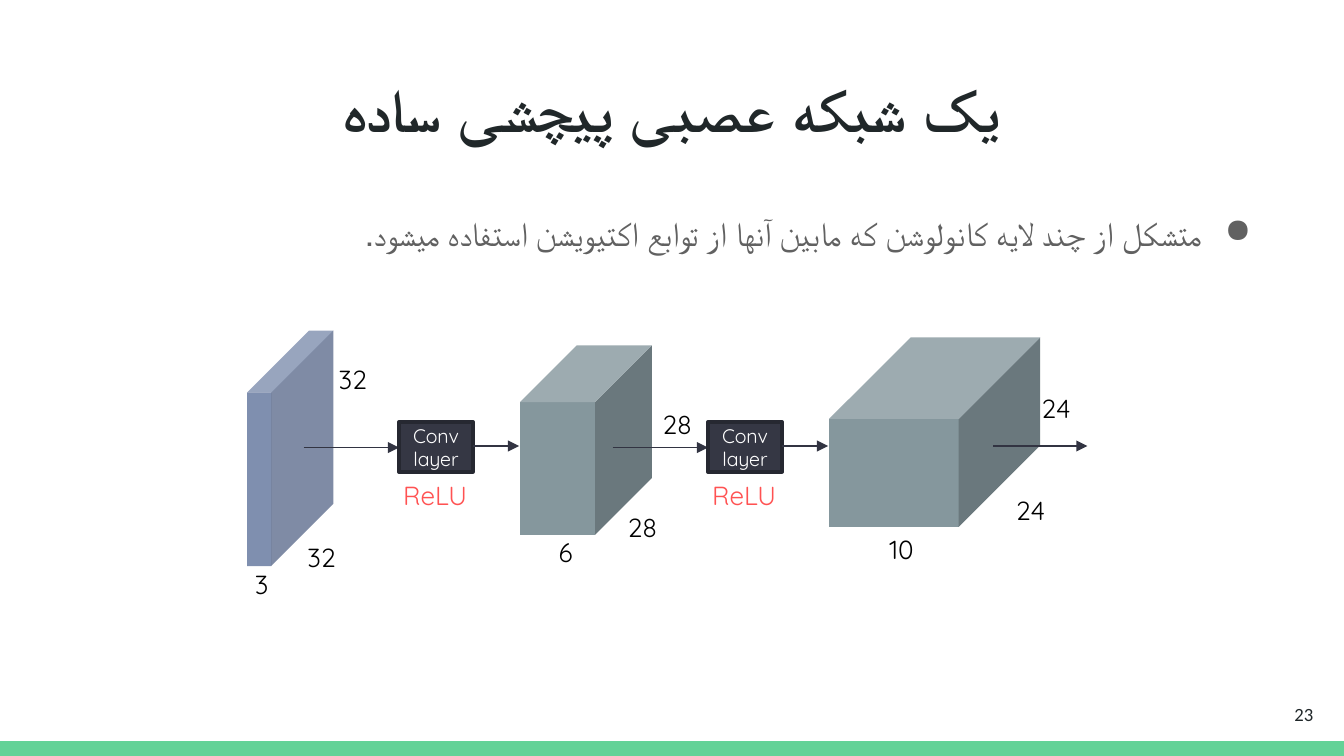
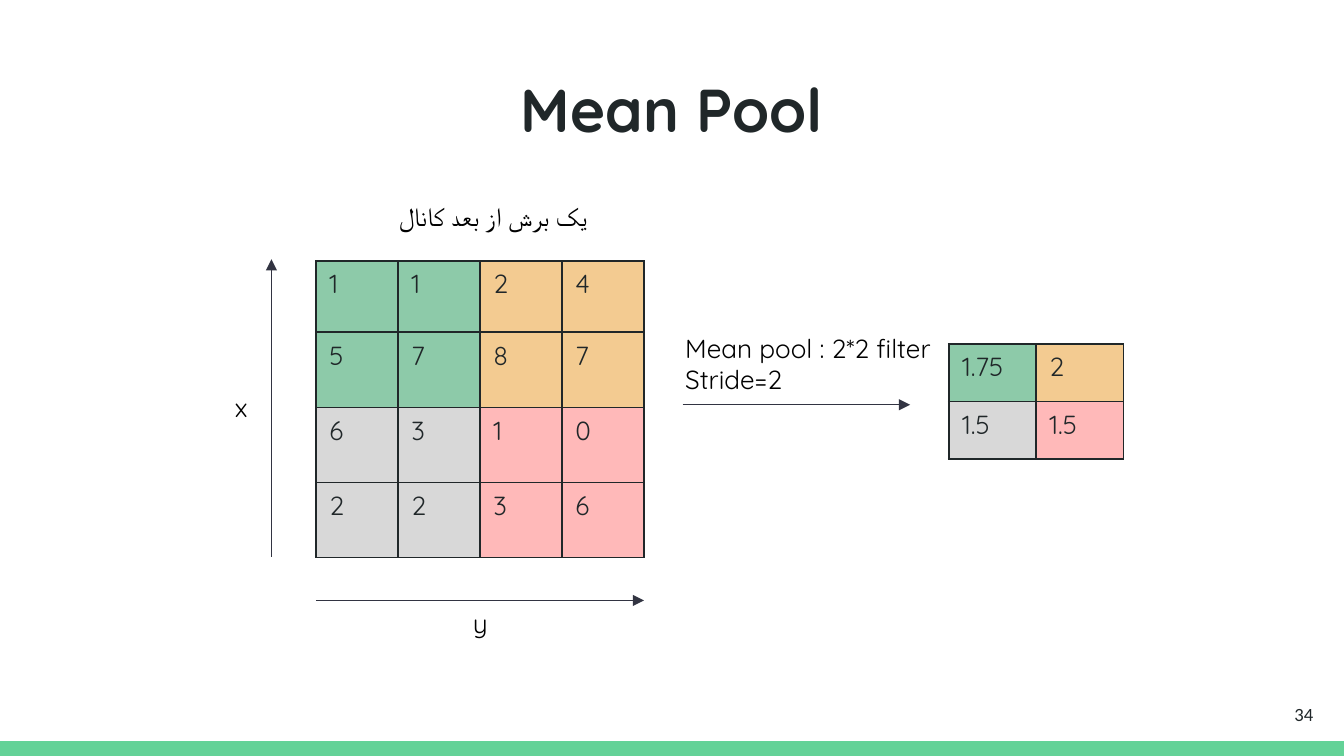
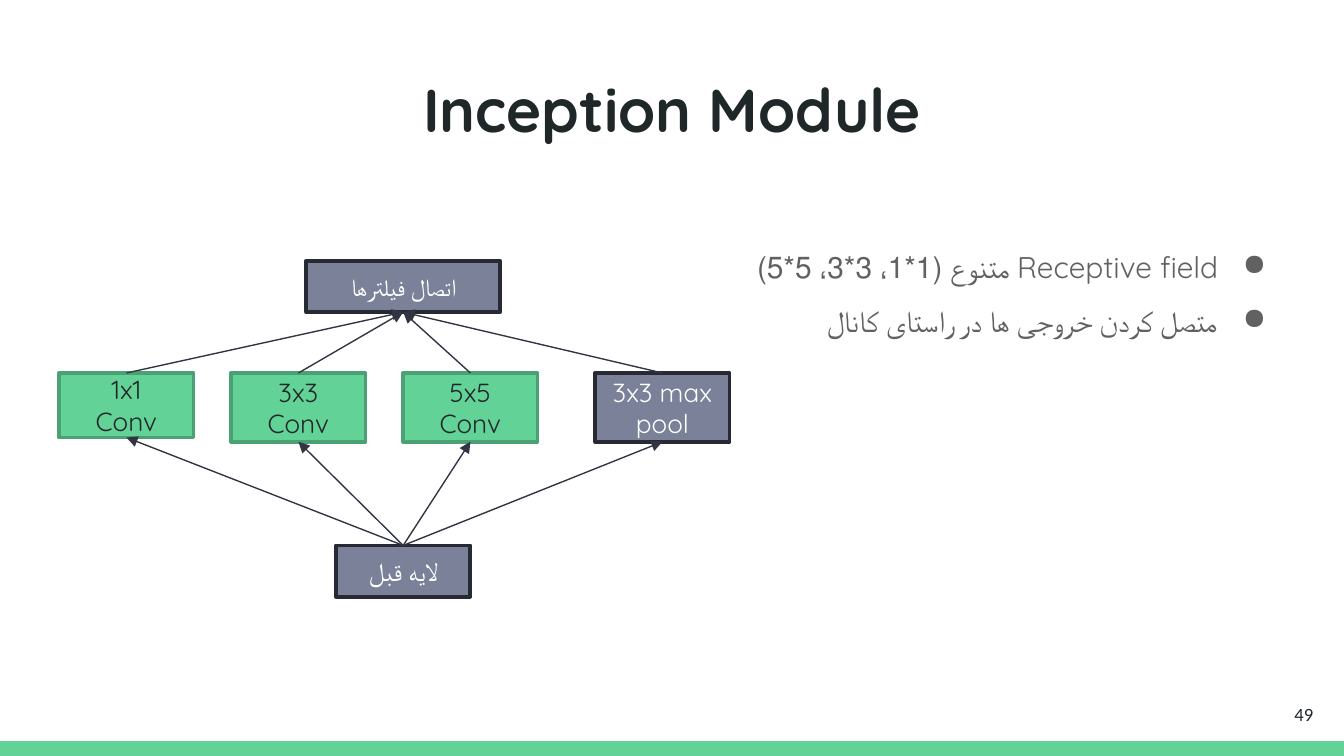
from dataclasses import dataclass
from typing import NamedTuple

from lxml import etree
from pptx import Presentation
from pptx.dml.color import RGBColor
from pptx.enum.shapes import MSO_CONNECTOR, MSO_SHAPE
from pptx.enum.text import MSO_ANCHOR, PP_ALIGN
from pptx.oxml.ns import qn
from pptx.util import Cm, Pt

LEFT, CENTER, RIGHT = PP_ALIGN.LEFT, PP_ALIGN.CENTER, PP_ALIGN.RIGHT
TOP, MIDDLE = MSO_ANCHOR.TOP, MSO_ANCHOR.MIDDLE
RECT, CUBE = MSO_SHAPE.RECTANGLE, MSO_SHAPE.CUBE
STRAIGHT = MSO_CONNECTOR.STRAIGHT
TOP_SITE, BOTTOM_SITE = 0, 2

FONT, NUMBER_FONT = "Quicksand", "Calibri"
COLORS = {
    "band": "63D297", "ink": "202729", "body": "616161", "black": "000000",
    "white": "FFFFFF", "arrow": "323442", "relu": "FF5252",
    "input": "002060", "feature": "85979D",
    "layer": "353744", "layer_edge": "262831",
    "conv": "63D297", "conv_edge": "4BA173",
    "slate": "7A8198", "slate_edge": "272933",
    "green": "8DCAA9", "orange": "F3CB91", "gray": "D8D8D8", "pink": "FFB9B9",
}
QUADRANTS = (("green", "orange"), ("gray", "pink"))


class Box(NamedTuple):
    """Left, top, width and height in centimetres."""
    left: float
    top: float
    width: float
    height: float

    def lengths(self) -> tuple:
        return tuple(Cm(value) for value in self)


@dataclass(frozen=True)
class Style:
    size: float
    color: str
    align: PP_ALIGN = LEFT
    anchor: MSO_ANCHOR = TOP
    bold: bool = False
    font: str = FONT
    inset: float = 0.13


@dataclass(frozen=True)
class Bullets:
    margin: float
    hanging: float
    line_spacing: float = 1.0


@dataclass(frozen=True)
class Volume:
    box: Box
    depth: float
    color: str
    alpha: int = 100


@dataclass(frozen=True)
class Block:
    box: Box
    lines: tuple[str, ...]
    fill: str
    edge: str
    style: Style


TITLE = Style(32.4, "ink", CENTER, MIDDLE, bold=True)
PAGE_NUMBER = Style(10, "ink", RIGHT, MIDDLE, font=NUMBER_FONT, inset=0.25)
LABEL = Style(14, "black")
SLICE_LABEL = Style(14, "black", RIGHT)
RELU = Style(14, "relu", CENTER)
LAYER = Style(10.5, "white", CENTER, MIDDLE)
CONV = Style(14, "ink", CENTER, MIDDLE)
SLATE = Style(14, "white", CENTER, MIDDLE)
JOIN = Style(13, "white", CENTER, MIDDLE)
CELL = Style(14, "ink")


def rgb(name: str) -> RGBColor:
    return RGBColor.from_string(COLORS[name])


def add_bullet(paragraph, bullets: Bullets) -> None:
    """Make the paragraph a right-to-left bullet."""
    props = paragraph._p.get_or_add_pPr()
    props.set("marL", str(Cm(bullets.margin)))
    props.set("indent", str(-Cm(bullets.hanging)))
    props.set("rtl", "1")
    color = etree.SubElement(props, qn("a:buClr"))
    etree.SubElement(color, qn("a:srgbClr"), val=COLORS["body"])
    etree.SubElement(props, qn("a:buChar"), char="●")
    paragraph.line_spacing = bullets.line_spacing


def write(frame, lines: tuple[str, ...], style: Style,
          bullets: Bullets | None = None) -> None:
    for index, line in enumerate(lines):
        paragraph = frame.paragraphs[0] if index == 0 else frame.add_paragraph()
        paragraph.alignment = style.align
        if bullets:
            add_bullet(paragraph, bullets)
        run = paragraph.add_run()
        run.text = line
        run.font.name = style.font
        run.font.size = Pt(style.size)
        run.font.bold = style.bold
        run.font.color.rgb = rgb(style.color)


def fill_frame(frame, lines: tuple[str, ...], style: Style,
               bullets: Bullets | None = None) -> None:
    frame.word_wrap = True
    frame.vertical_anchor = style.anchor
    frame.margin_left = frame.margin_right = Cm(0.25)
    frame.margin_top = frame.margin_bottom = Cm(style.inset)
    write(frame, lines, style, bullets)


def add_text(slide, box: Box, lines: tuple[str, ...], style: Style,
             bullets: Bullets | None = None) -> None:
    textbox = slide.shapes.add_textbox(*box.lengths())
    fill_frame(textbox.text_frame, lines, style, bullets)


def add_solid(slide, kind, box: Box, color: str):
    """Add a filled shape with no outline and no shadow."""
    solid = slide.shapes.add_shape(kind, *box.lengths())
    solid.shadow.inherit = False
    solid.fill.solid()
    solid.fill.fore_color.rgb = rgb(color)
    solid.line.fill.background()
    return solid


def add_block(slide, block: Block):
    solid = add_solid(slide, RECT, block.box, block.fill)
    solid.line.color.rgb = rgb(block.edge)
    solid.line.width = Pt(2)
    fill_frame(solid.text_frame, block.lines, block.style)
    return solid


def add_volume(slide, volume: Volume) -> None:
    cube = add_solid(slide, CUBE, volume.box, volume.color)
    cube.adjustments[0] = volume.depth
    if volume.alpha < 100:
        color = cube._element.spPr.find(qn("a:solidFill"))[0]
        etree.SubElement(color, qn("a:alpha"), val=str(volume.alpha * 1000))


def add_arrow(slide, x1: float = 0, y1: float = 0, x2: float = 0, y2: float = 0):
    arrow = slide.shapes.add_connector(STRAIGHT, Cm(x1), Cm(y1), Cm(x2), Cm(y2))
    arrow.line.color.rgb = rgb("arrow")
    arrow.line.width = Pt(0.75)
    etree.SubElement(arrow.line._get_or_add_ln(), qn("a:tailEnd"), type="triangle")
    etree.SubElement(arrow._element.spPr, qn("a:effectLst"))
    return arrow


def link(slide, lower, upper) -> None:
    """Point an arrow from the top of one block to the bottom of another."""
    arrow = add_arrow(slide)
    arrow.begin_connect(lower, TOP_SITE)
    arrow.end_connect(upper, BOTTOM_SITE)


def add_borders(cell) -> None:
    props = cell._tc.get_or_add_tcPr()
    for side in ("lnL", "lnR", "lnT", "lnB"):
        border = etree.SubElement(props, qn(f"a:{side}"), w=str(Pt(1)))
        paint = etree.SubElement(border, qn("a:solidFill"))
        etree.SubElement(paint, qn("a:srgbClr"), val=COLORS["ink"])


def add_grid(slide, left: float, top: float, column: float,
             rows: tuple[float, ...], values: tuple[tuple[str, ...], ...]) -> None:
    """Add a square table whose four quadrants have their own colours."""
    count = len(values)
    box = Box(left, top, column * count, sum(rows))
    grid = slide.shapes.add_table(count, count, *box.lengths()).table
    grid.first_row = grid.horz_banding = False
    for r, row in enumerate(values):
        grid.rows[r].height = Cm(rows[r])
        grid.columns[r].width = Cm(column)
        for c, value in enumerate(row):
            cell = grid.cell(r, c)
            add_borders(cell)
            cell.fill.solid()
            cell.fill.fore_color.rgb = rgb(QUADRANTS[2 * r // count][2 * c // count])
            write(cell.text_frame, (value,), CELL)


def new_slide(deck, title: str, number: int):
    slide = deck.slides.add_slide(deck.slide_layouts[6])
    add_solid(slide, RECT, Box(0, 14.01, 25.4, 0.28), "band")
    add_text(slide, Box(0.86, 1.24, 23.67, 1.6), (title,), TITLE)
    add_text(slide, Box(23.55, 12.95, 1.52, 1.09), (str(number),), PAGE_NUMBER)
    return slide


def build_network(deck) -> None:
    slide = new_slide(deck, "یک شبکه عصبی پیچشی ساده", 23)
    add_text(slide, Box(0.86, 3.89, 23.67, 1.6),
             ("متشکل از چند لایه کانولوشن که مابین آنها از توابع اکتیویشن استفاده میشود.",),
             Style(18, "body", RIGHT), Bullets(1.55, 0.92))

    for volume in (
        Volume(Box(4.67, 6.25, 1.63, 4.45), 0.72, "input", 50),
        Volume(Box(9.83, 6.53, 2.49, 3.58), 0.43, "feature"),
        Volume(Box(15.67, 6.38, 3.99, 3.58), 0.43, "feature"),
    ):
        add_volume(slide, volume)

    for size, left, top, width in (
        ("32", 6.15, 6.73, 1.52), ("32", 5.56, 10.11, 1.3), ("3", 4.57, 10.62, 0.53),
        ("28", 12.27, 7.59, 1.3), ("28", 11.61, 9.53, 1.4), ("6", 10.31, 10.01, 0.53),
        ("24", 19.43, 7.29, 1.4), ("24", 18.95, 9.22, 1.78), ("10", 16.56, 9.96, 1.52),
    ):
        add_text(slide, Box(left, top, width, 0.86), (size,), LABEL)

    for left in (7.54, 13.38):
        add_arrow(slide, left - 1.8, 8.46, left, 8.46)
        add_block(slide, Block(Box(left, 7.98, 1.4, 0.94), ("Conv layer",),
                               "layer", "layer_edge", LAYER))
        add_arrow(slide, left + 1.4, 8.43, left + 2.27, 8.43)
        add_text(slide, Box(left - 0.38, 8.94, 2.13, 0.86), ("ReLU",), RELU)
    add_arrow(slide, 18.77, 8.43, 20.55, 8.43)


def build_pooling(deck) -> None:
    slide = new_slide(deck, "Mean Pool", 34)
    add_grid(slide, 5.97, 4.93, 1.55, (1.35, 1.42, 1.42, 1.42),
             (("1", "1", "2", "4"), ("5", "7", "8", "7"),
              ("6", "3", "1", "0"), ("2", "2", "3", "6")))
    add_grid(slide, 17.93, 6.5, 1.65, (1.09, 1.09),
             (("1.75", "2"), ("1.5", "1.5")))
    add_arrow(slide, 12.9, 7.65, 17.2, 7.65)
    add_arrow(slide, 5.13, 10.52, 5.13, 4.9)
    add_arrow(slide, 5.97, 11.35, 12.17, 11.35)
    add_text(slide, Box(12.7, 6.15, 5.56, 1.45),
             ("Mean pool : 2*2 filter", "Stride=2"), LABEL)
    add_text(slide, Box(8.69, 11.35, 0.76, 0.86), ("y",), LABEL)
    add_text(slide, Box(4.19, 7.26, 0.76, 0.86), ("x",), LABEL)
    add_text(slide, Box(6.78, 3.66, 4.57, 0.86), ("یک برش از بعد کانال",), SLICE_LABEL)


def build_inception(deck) -> None:
    slide = new_slide(deck, "Inception Module", 49)
    add_text(slide, Box(13.59, 4.24, 10.95, 2.31),
             ("Receptive field متنوع (1*1، 3*3، 5*5)",
              "متصل کردن خروجی ها در راستای کانال"),
             Style(16, "body", RIGHT), Bullets(1.27, 0.91, 1.5))

    joined = add_block(slide, Block(Box(5.79, 4.93, 3.66, 0.97), ("اتصال فیلترها",),
                                    "slate", "slate_edge", JOIN))
    previous = add_block(slide, Block(Box(6.35, 10.31, 2.54, 0.97), ("لایه قبل",),
                                      "slate", "slate_edge", SLATE))
    branches = [
        Block(Box(1.12 + 3.25 * index, 7.05, 2.54, height), (kernel, "Conv"),
              "conv", "conv_edge", CONV)
        for index, (kernel, height) in enumerate(
            (("1x1", 1.22), ("3x3", 1.3), ("5x5", 1.3)))
    ]
    branches.append(Block(Box(11.25, 7.05, 2.54, 1.3), ("3x3 max", "pool"),
                          "slate", "slate_edge", SLATE))
    for branch in branches:
        block = add_block(slide, branch)
        link(slide, previous, block)
        link(slide, block, joined)


def main() -> None:
    deck = Presentation()
    deck.slide_width, deck.slide_height = Cm(25.4), Cm(14.29)
    build_network(deck)
    build_pooling(deck)
    build_inception(deck)
    deck.save("out.pptx")


if __name__ == "__main__":
    main()
